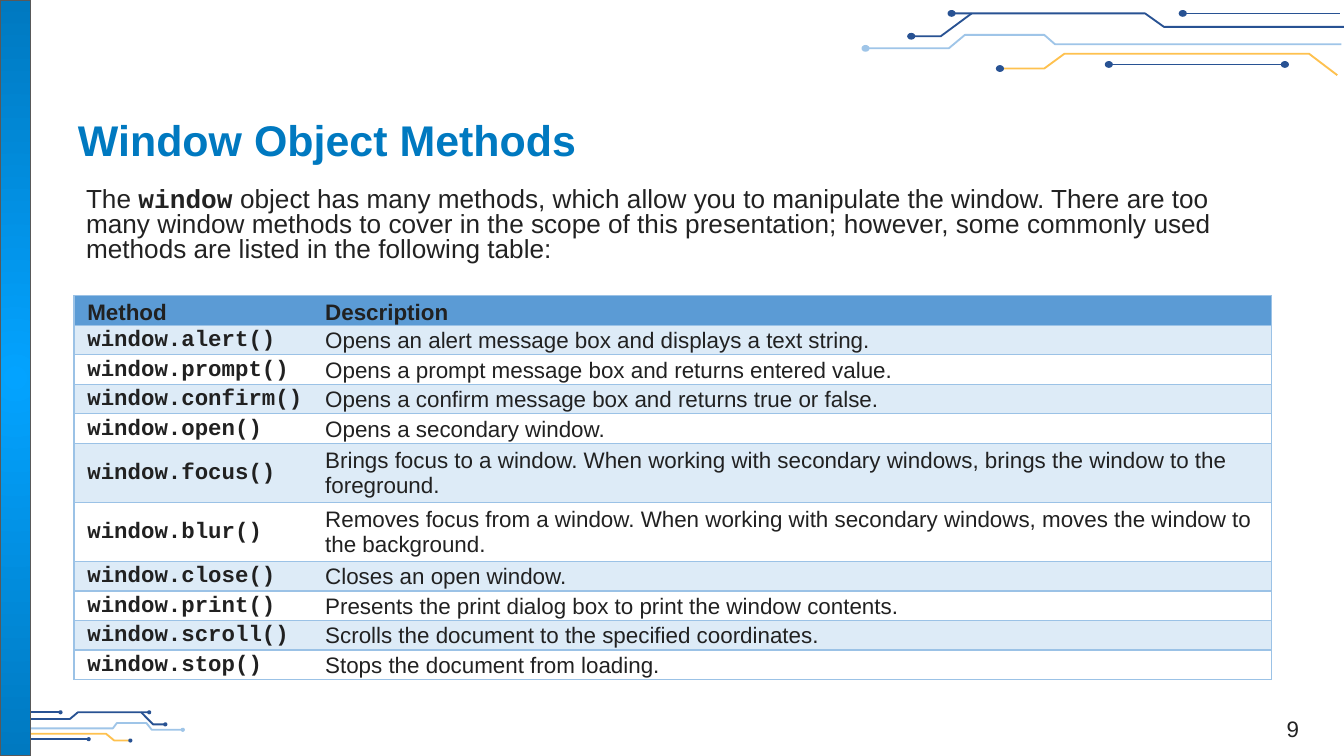
"""Build the slide on the methods of the window object."""
from dataclasses import dataclass

from lxml.etree import SubElement, fromstring
from pptx import Presentation
from pptx.dml.color import RGBColor
from pptx.enum.shapes import MSO_CONNECTOR as Connector, MSO_SHAPE as Shape
from pptx.enum.text import MSO_ANCHOR as Anchor, PP_ALIGN as Align
from pptx.oxml.ns import nsdecls, qn
from pptx.util import Inches, Pt

TITLE = "Window Object Methods"
INTRO = [
    ("The ", False),
    ("window", True),
    (" object has many methods, which allow you to manipulate the window. "
     "There are too many window methods to cover in the scope of this presentation; "
     "however, some commonly used methods are listed in the following table:", False),
]
PAGE_NUMBER = "9"
HEADER = ("Method", "Description")
METHODS = [
    ("window.alert()", "Opens an alert message box and displays a text string."),
    ("window.prompt()", "Opens a prompt message box and returns entered value."),
    ("window.confirm()", "Opens a confirm message box and returns true or false."),
    ("window.open()", "Opens a secondary window."),
    ("window.focus()", "Brings focus to a window. When working with secondary windows, "
                       "brings the window to the foreground."),
    ("window.blur()", "Removes focus from a window. When working with secondary windows, "
                      "moves the window to the background."),
    ("window.close()", "Closes an open window."),
    ("window.print()", "Presents the print dialog box to print the window contents."),
    ("window.scroll()", "Scrolls the document to the specified coordinates."),
    ("window.stop()", "Stops the document from loading."),
]


@dataclass(frozen=True)
class Theme:
    """Colours, fonts and type sizes of the deck."""
    blue: str = "0079C0"
    bright: str = "03A3FF"
    grey: str = "595959"
    ink: str = "222222"
    table_ink: str = "212121"
    header: str = "5B9BD5"
    band: str = "DDEBF7"
    rule: str = "9BC2E6"
    navy: str = "285293"
    sky: str = "9FC5E8"
    gold: str = "FEC14F"
    font: str = "Arial"
    code: str = "Courier New"
    title_size: float = 23
    intro_size: float = 14
    table_size: float = 12
    trace_width: float = 1
    thin_width: float = 0.75


THEME = Theme()
CELL = Inches(0.01)
COLUMNS, ROWS = 1000, 562.5
ROW_HEIGHT, LINE_CHARS = 22, 90
TABLE_LEFT, TABLE_TOP, TABLE_COLUMNS = 55, 220, (186, 705)
NO_STYLE = "{2D5ABB26-0587-4C30-8999-92F81FD0307C}"

BOTTOM_CIRCUIT = {
    "dot": (2, 2),
    "traces": [
        (THEME.navy, [(3, 535), (52, 535), (58, 530), (111, 530)]),
        (THEME.navy, [(105, 530), (114, 539), (123, 539)]),
        (THEME.navy, [(0, 530), (45, 530)]),
        (THEME.gold, [(1, 554), (9, 546), (79, 546), (85, 551), (97, 551)]),
        (THEME.navy, [(16, 550), (66, 550)]),
        (THEME.sky, [(6, 542), (84, 542), (87, 538), (109, 538), (113, 543), (136, 543)]),
    ],
    "dots": [(THEME.sky, 136, 543), (THEME.navy, 111, 530), (THEME.navy, 123, 539),
             (THEME.navy, 45, 530), (THEME.navy, 97, 551), (THEME.navy, 16, 550),
             (THEME.navy, 66, 550)],
}
TOP_CIRCUIT = {
    "dot": (5, 4),
    "traces": [
        (THEME.navy, [(1000, 20), (866, 20), (852, 10), (708, 10)]),
        (THEME.navy, [(723, 10), (700, 27), (678, 27)]),
        (THEME.navy, [(997, 10), (880, 10)]),
        (THEME.gold, [(995, 56), (974, 40), (792, 40), (777, 51), (744, 51)]),
        (THEME.navy, [(956, 48), (825, 48)]),
        (THEME.sky, [(998, 33), (785, 33), (777, 26), (718, 26), (706, 36), (644, 36)]),
    ],
    "dots": [(THEME.sky, 644, 36), (THEME.navy, 708, 10), (THEME.navy, 678, 27),
             (THEME.navy, 880, 10), (THEME.navy, 744, 51), (THEME.navy, 956, 48),
             (THEME.navy, 825, 48)],
}


def grid(*counts):
    return [int(count * CELL) for count in counts]


def rgb(color):
    return RGBColor.from_string(color)


def write(para, text, *, size, color=THEME.ink, font=THEME.font, bold=False):
    span = para.add_run()
    span.text = text
    span.font.name, span.font.size, span.font.bold = font, Pt(size), bold
    span.font.color.rgb = rgb(color)


def add_box(page, place, anchor=Anchor.TOP, inset=(7, 7)):
    box = page.shapes.add_textbox(*grid(*place))
    frame = box.text_frame
    frame.word_wrap, frame.vertical_anchor = True, anchor
    frame.margin_left, frame.margin_top = frame.margin_right, frame.margin_bottom = grid(*inset)
    return frame.paragraphs[0]


def outline(shape, color, width):
    shape.line.color.rgb, shape.line.width = rgb(color), Pt(width)
    SubElement(shape._element.spPr, qn("a:effectLst"))


def draw_trace(page, color, points):
    if len(points) == 2:
        trace = page.shapes.add_connector(Connector.STRAIGHT, *grid(*points[0], *points[1]))
    else:
        builder = page.shapes.build_freeform(*points[0], scale=CELL)
        builder.add_line_segments(points[1:], close=False)
        trace = builder.convert_to_shape()
        trace.fill.background()
    outline(trace, color, THEME.trace_width)


def draw_circuit(page, circuit):
    for color, points in circuit["traces"]:
        draw_trace(page, color, points)
    width, height = circuit["dot"]
    for color, x, y in circuit["dots"]:
        dot = page.shapes.add_shape(
            Shape.OVAL, *grid(x - width / 2, y - height / 2, width, height))
        dot.fill.solid()
        dot.fill.fore_color.rgb = rgb(color)
        outline(dot, color, THEME.thin_width)


def draw_side_bar(page):
    bar = page.shapes.add_shape(Shape.RECTANGLE, *grid(0, 0, 23, ROWS))
    bar.fill.gradient()
    for stop, color in zip(bar.fill.gradient_stops, (THEME.bright, THEME.blue)):
        stop.color.rgb = rgb(color)
    gradient = bar._element.spPr.find(qn("a:gradFill"))
    gradient.replace(gradient.find(qn("a:lin")), fromstring(
        f'<a:path {nsdecls("a")} path="circle">'
        '<a:fillToRect l="50000" t="50000" r="50000" b="50000"/></a:path>'))
    outline(bar, THEME.grey, THEME.thin_width)


def draw_borders(cell, sides):
    for index, side in enumerate(sides):
        cell._tc.get_or_add_tcPr().insert(index, fromstring(
            f'<a:ln{side} {nsdecls("a")} w="{Pt(THEME.thin_width)}"><a:solidFill>'
            f'<a:srgbClr val="{THEME.rule}"/></a:solidFill></a:ln{side}>'))


def fill_cell(cell, text, row, column):
    cell.margin_left, cell.margin_right, cell.margin_top, cell.margin_bottom = grid(
        1 if column else 10, 1, 1, 0)
    cell.vertical_anchor = Anchor.MIDDLE if row else Anchor.BOTTOM
    is_code = row > 0 and column == 0
    write(cell.text_frame.paragraphs[0], text, size=THEME.table_size, color=THEME.table_ink,
          font=THEME.code if is_code else THEME.font, bold=is_code or row == 0)
    if row == 0 or row % 2:
        cell.fill.solid()
        cell.fill.fore_color.rgb = rgb(THEME.band if row else THEME.header)
    else:
        cell.fill.background()
    draw_borders(cell, "RTB" if column else "LTB")


def draw_table(page):
    records = [HEADER, *METHODS]
    heights = [ROW_HEIGHT * (1 + len(text) // LINE_CHARS) for _, text in records]
    table = page.shapes.add_table(len(records), len(HEADER), *grid(
        TABLE_LEFT, TABLE_TOP, sum(TABLE_COLUMNS), sum(heights))).table
    table._tbl.tblPr[0].text = NO_STYLE
    table.first_row = table.horz_banding = False
    for column, width in zip(table.columns, grid(*TABLE_COLUMNS)):
        column.width = width
    for row, (record, height) in enumerate(zip(records, grid(*heights))):
        table.rows[row].height = height
        for column, text in enumerate(record):
            fill_cell(table.cell(row, column), text, row, column)


def main():
    deck = Presentation()
    deck.slide_width, deck.slide_height = grid(COLUMNS, ROWS)
    page = deck.slides.add_slide(deck.slide_layouts[6])
    for circuit in (BOTTOM_CIRCUIT, TOP_CIRCUIT):
        draw_circuit(page, circuit)
    draw_side_bar(page)
    intro = add_box(page, (57, 133, 895, 379))
    intro.line_spacing = 0.8
    for text, is_code in INTRO:
        write(intro, text, size=THEME.intro_size, bold=is_code,
              font=THEME.code if is_code else THEME.font)
    title = add_box(page, (51, 75, 888, 58), Anchor.MIDDLE)
    write(title, TITLE, size=THEME.title_size, color=THEME.blue, bold=True)
    number = add_box(page, (930, 512, 64, 44), Anchor.BOTTOM, (7, 4))
    number.alignment = Align.CENTER
    write(number, PAGE_NUMBER, size=THEME.table_size)
    draw_table(page)
    deck.save("out.pptx")


if __name__ == "__main__":
    main()
